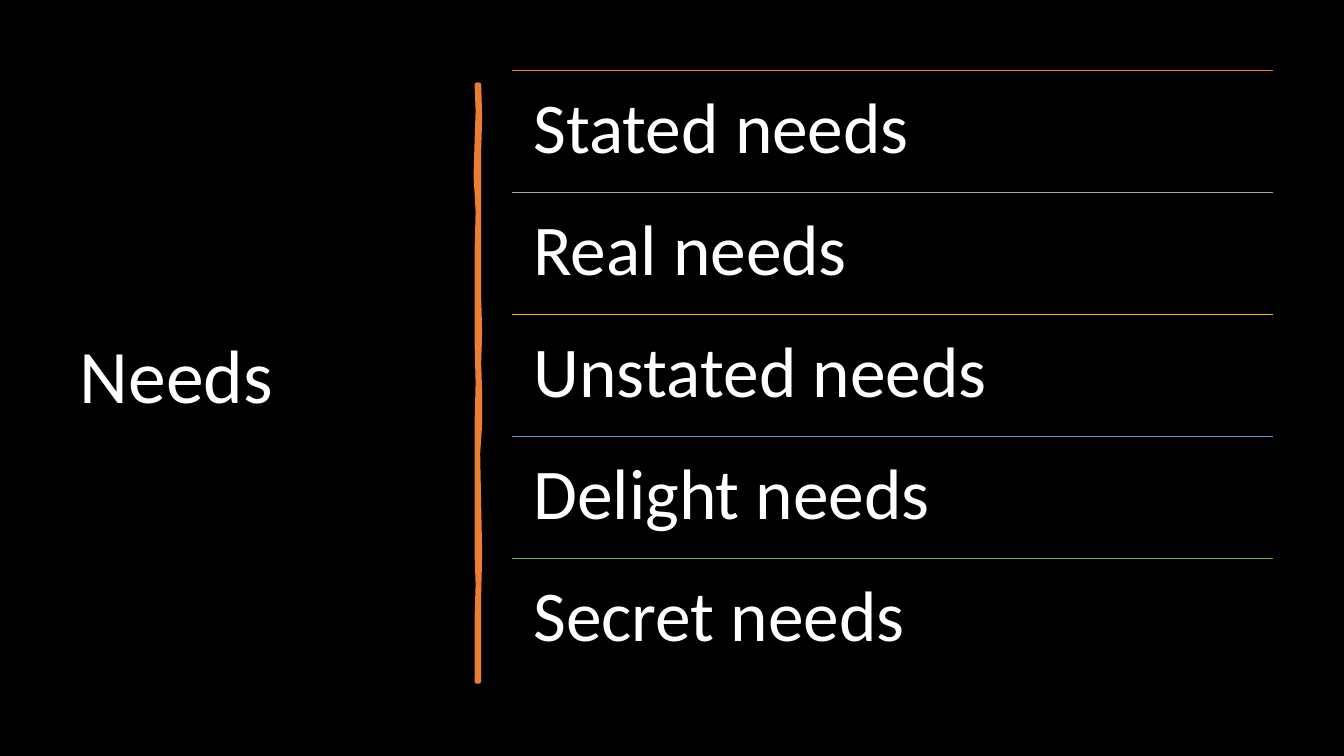
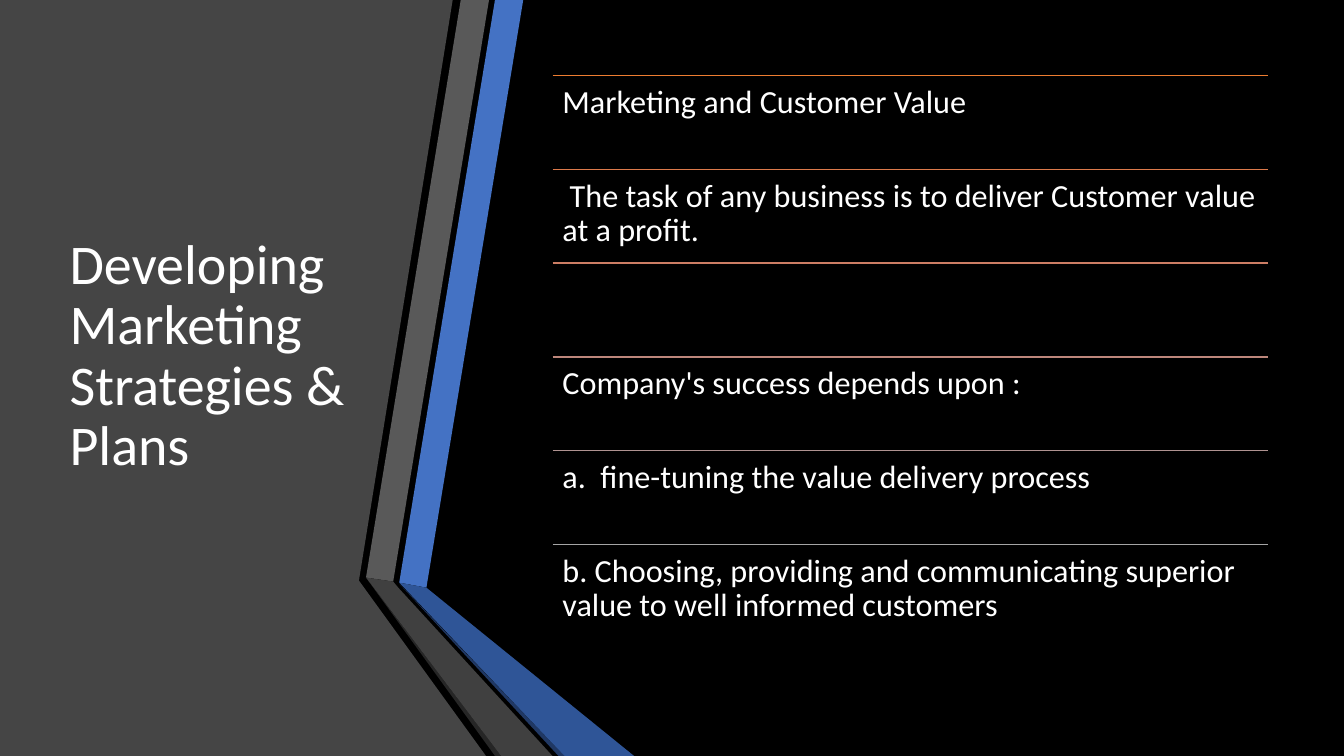
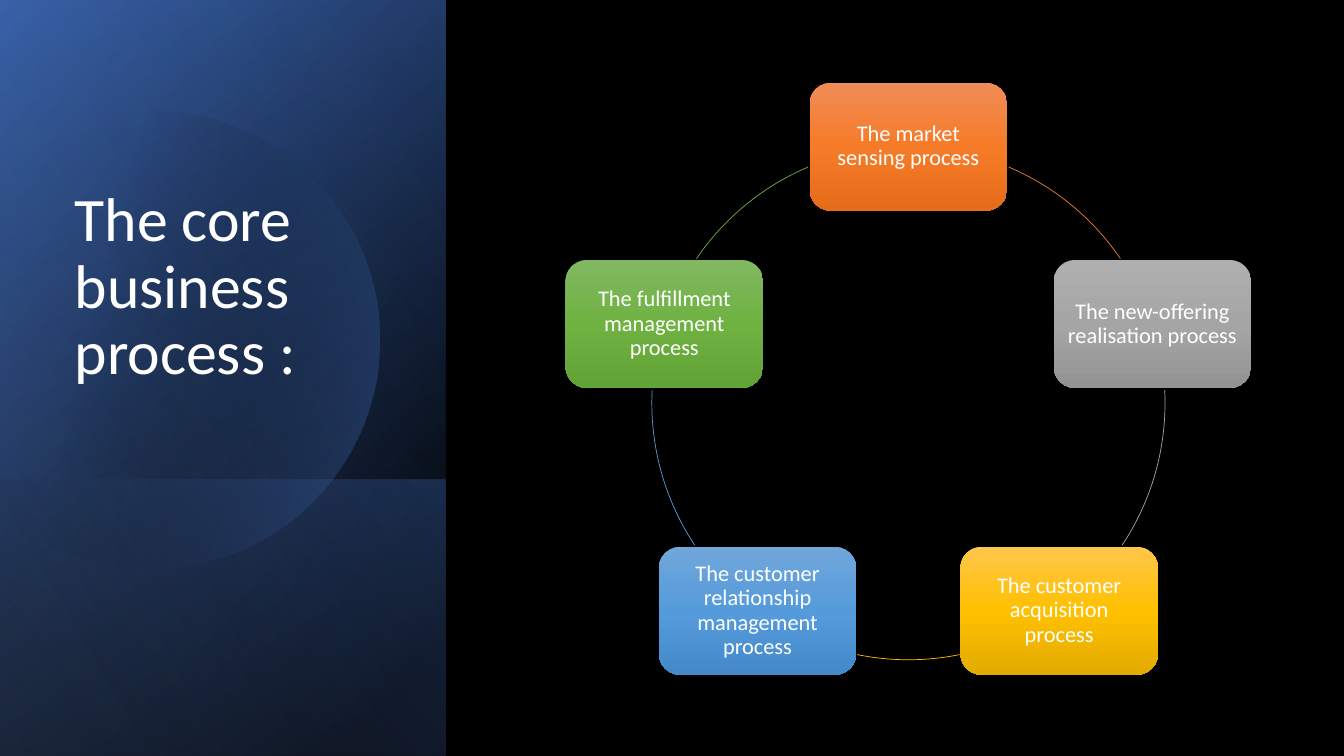
import dataclasses
import math

import pptx
import pptx.dml.color
import pptx.enum.shapes
import pptx.enum.text
import pptx.oxml
import pptx.oxml.ns
import pptx.util

Inches = pptx.util.Inches
Pt = pptx.util.Pt
RGBColor = pptx.dml.color.RGBColor
Anchor = pptx.enum.text.MSO_ANCHOR
Align = pptx.enum.text.PP_ALIGN
ShapeType = pptx.enum.shapes.MSO_SHAPE
Point = tuple[float, float]

FONT = "Calibri"
TITLE_ONLY_LAYOUT = 5
SLIDE_WIDTH, SLIDE_HEIGHT = 13.33, 7.5

BLACK = RGBColor(0x00, 0x00, 0x00)
WHITE = RGBColor(0xFF, 0xFF, 0xFF)
ORANGE = RGBColor(0xED, 0x7D, 0x31)
GRAY = RGBColor(0xA5, 0xA5, 0xA5)
GOLD = RGBColor(0xFF, 0xC0, 0x00)
SKY = RGBColor(0x5B, 0x9B, 0xD5)
GREEN = RGBColor(0x70, 0xAD, 0x47)
BLUE = RGBColor(0x44, 0x72, 0xC4)
BLUE_DARK = RGBColor(0x2F, 0x55, 0x97)
BLUE_DARKEST = RGBColor(0x20, 0x38, 0x64)
BLUE_LIGHT = RGBColor(0x8F, 0xAA, 0xDC)
CHARCOAL = RGBColor(0x45, 0x45, 0x45)
RIBBON_GRAY = RGBColor(0x59, 0x59, 0x59)
RIBBON_FOLD = RGBColor(0x40, 0x40, 0x40)
RIBBON_EDGE = RGBColor(0x26, 0x26, 0x26)


@dataclasses.dataclass(frozen=True)
class Box:
    left: float
    top: float
    width: float
    height: float

    def lengths(self) -> tuple:
        return tuple(Inches(value) for value in dataclasses.astuple(self))


@dataclasses.dataclass(frozen=True)
class Row:
    text: str
    color: RGBColor


@dataclasses.dataclass(frozen=True)
class Stop:
    position: int
    color: RGBColor
    opacity: int = 100


@dataclasses.dataclass(frozen=True)
class Panel:
    top: float
    height: float
    angle: int
    stops: tuple[Stop, ...]


@dataclasses.dataclass(frozen=True)
class Step:
    """A process box and the arc that leads from it, in degrees clockwise."""
    text: str
    line: RGBColor
    shades: tuple[str, str, str]
    arc_start: float
    arc_end: float


@dataclasses.dataclass(frozen=True)
class Facet:
    color: RGBColor
    points: tuple[Point, ...]


NEEDS = (
    Row("Stated needs", ORANGE),
    Row("Real needs", GRAY),
    Row("Unstated needs", GOLD),
    Row("Delight needs", SKY),
    Row("Secret needs", GREEN),
)

STRATEGIES = (
    Row("Marketing and Customer Value", ORANGE),
    Row(" The task of any business is to deliver Customer value at a profit.",
        RGBColor(0xDC, 0x7A, 0x4B)),
    Row("", RGBColor(0xCC, 0x7D, 0x64)),
    Row("Company's success depends upon :", RGBColor(0xBD, 0x86, 0x7B)),
    Row("a.  fine-tuning the value delivery process", RGBColor(0xB0, 0x93, 0x91)),
    Row("b. Choosing, providing and communicating superior value to well "
        "informed customers", GRAY),
)

BRUSH_STROKE = (
    (4.75, 0.84), (4.76, 1.15), (4.75, 1.5), (4.75, 2.2), (4.75, 2.94),
    (4.76, 3.3), (4.75, 3.6), (4.76, 3.9), (4.76, 4.2), (4.74, 4.5),
    (4.75, 5.0), (4.76, 5.5), (4.75, 5.9), (4.75, 6.76),
    (4.73, 6.76), (4.73, 6.13), (4.74, 5.8), (4.73, 5.5), (4.73, 4.7),
    (4.73, 4.2), (4.74, 3.8), (4.73, 3.4), (4.73, 2.5), (4.74, 2.1),
    (4.72, 1.75), (4.73, 1.4), (4.74, 1.1), (4.73, 0.84),
)

FACETS = (
    Facet(CHARCOAL, ((0, 0), (4.49, 0), (3.56, 5.76), (4.82, 7.5), (0, 7.5))),
    Facet(BLUE, ((3.96, 5.78), (4.23, 5.83), (5.19, 0), (4.91, 0))),
    Facet(RIBBON_GRAY, ((4.85, 0), (4.57, 0), (3.63, 5.73), (3.9, 5.77))),
    Facet(RIBBON_EDGE, ((3.63, 5.73), (4.91, 7.5), (4.97, 7.5))),
    Facet(BLUE_DARKEST, ((3.96, 5.79), (5.54, 7.5), (5.6, 7.5))),
    Facet(BLUE_DARK, ((3.96, 5.78), (5.6, 7.5), (6.29, 7.5), (4.23, 5.83))),
    Facet(RIBBON_FOLD, ((5.48, 7.5), (3.95, 5.83), (3.9, 5.77), (3.63, 5.73), (4.97, 7.5))),
)

PANEL_WIDTH = 4.42
BACK_PANELS = (
    Panel(0, 7.5, 50, (Stop(8, BLACK), Stop(100, BLUE_DARK))),
    Panel(0, 7.5, 30, (Stop(0, BLACK, 0), Stop(99, BLUE, 46))),
    Panel(4.76, 2.74, 130, (Stop(2, BLUE, 29), Stop(100, BLACK, 30))),
)
FRONT_PANEL = Panel(0, 7.5, 120, (Stop(0, BLACK, 0), Stop(99, BLUE_LIGHT, 11)))
DISC_CENTER, DISC_RADIUS = (1.49, 3.37), 2.27

STEPS = (
    Step("The market sensing process", ORANGE,
         ("F18C57", "F67B28", "E56C19"), 293, 325.7),
    Step("The new-offering realisation process", GRAY,
         ("AFAFAF", "A5A5A5", "939393"), 357.1, 33.6),
    Step("The customer acquisition process", GOLD,
         ("FFC64B", "FFC000", "E3AB00"), 78.5, 101.5),
    Step("The customer relationship management process", SKY,
         ("71A6DB", "559BDB", "448ACA"), 146.4, 182.9),
    Step("The fulfillment management process", GREEN,
         ("81B861", "6FB242", "62A336"), 214.3, 247),
)
RING_CENTER, RING_RADIUS = (9.01, 4.0), 2.545
STEP_WIDTH, STEP_HEIGHT = 1.96, 1.27


def write_text(shape, text: str, *, size: float, align=Align.LEFT,
               anchor=Anchor.TOP, margin: float | None = None) -> None:
    frame = shape.text_frame
    frame.word_wrap = True
    frame.auto_size = pptx.enum.text.MSO_AUTO_SIZE.NONE
    frame.vertical_anchor = anchor
    horizontal, vertical = (0.1, 0.05) if margin is None else (margin, margin)
    frame.margin_left = frame.margin_right = Inches(horizontal)
    frame.margin_top = frame.margin_bottom = Inches(vertical)
    paragraph = frame.paragraphs[0]
    paragraph.alignment = align
    paragraph.line_spacing = 0.9
    run = paragraph.add_run()
    run.text = text
    run.font.name = FONT
    run.font.size = Pt(size)
    run.font.color.rgb = WHITE


def add_title(slide, text: str, box: Box, size: float, anchor=Anchor.MIDDLE) -> None:
    """Place the title in front of everything drawn so far."""
    title = slide.shapes.title
    title.left, title.top, title.width, title.height = box.lengths()
    write_text(title, text, size=size, anchor=anchor)
    title.element.getparent().append(title.element)


def fill_solid(shape, color: RGBColor) -> None:
    shape.shadow.inherit = False
    shape.fill.solid()
    shape.fill.fore_color.rgb = color
    shape.line.fill.background()


def fill_gradient(shape, stops: tuple[Stop, ...], angle: float) -> None:
    fill_solid(shape, stops[0].color)
    stop_xml = "".join(
        f'<a:gs pos="{stop.position * 1000}"><a:srgbClr val="{stop.color}">'
        f'<a:alpha val="{stop.opacity * 1000}"/></a:srgbClr></a:gs>'
        for stop in stops)
    gradient = pptx.oxml.parse_xml(
        f'<a:gradFill {pptx.oxml.ns.nsdecls("a")} rotWithShape="1">'
        f'<a:gsLst>{stop_xml}</a:gsLst>'
        f'<a:lin ang="{round(angle * 60000)}" scaled="0"/></a:gradFill>')
    properties = shape.element.spPr
    properties.replace(properties.find(pptx.oxml.ns.qn("a:solidFill")), gradient)


def add_polygon(slide, points: tuple[Point, ...]):
    corners = [(Inches(x), Inches(y)) for x, y in points]
    builder = slide.shapes.build_freeform(*corners[0])
    builder.add_line_segments(corners[1:], close=True)
    return builder.convert_to_shape()


def add_rule(slide, left: float, top: float, width: float, color: RGBColor) -> None:
    rule = slide.shapes.add_connector(
        pptx.enum.shapes.MSO_CONNECTOR.STRAIGHT,
        Inches(left), Inches(top), Inches(left + width), Inches(top))
    rule.line.color.rgb = color
    rule.line.width = Pt(1)
    rule.element.spPr.append(
        pptx.oxml.parse_xml(f'<a:effectLst {pptx.oxml.ns.nsdecls("a")}/>'))


def add_ruled_list(slide, rows: tuple[Row, ...], first: Box, *,
                   size: float, margin: float) -> None:
    """Stack rows of equal height below the first, each under its own rule."""
    for index, row in enumerate(rows):
        box = dataclasses.replace(first, top=first.top + index * first.height)
        add_rule(slide, box.left, box.top, box.width, row.color)
        if row.text:
            text_box = slide.shapes.add_textbox(*box.lengths())
            write_text(text_box, row.text, size=size, margin=margin)


def add_panel(slide, panel: Panel) -> None:
    """Draw a side panel turned a quarter and mirrored, with its gradient."""
    shift = (PANEL_WIDTH - panel.height) / 2
    box = Box(shift, panel.top - shift, panel.height, PANEL_WIDTH)
    shape = slide.shapes.add_shape(ShapeType.RECTANGLE, *box.lengths())
    shape.rotation = 90
    shape.element.spPr.xfrm.set("flipH", "1")
    fill_gradient(shape, panel.stops, panel.angle)


def on_circle(center: Point, radius: float, degrees: float) -> Point:
    angle = math.radians(degrees)
    return center[0] + radius * math.cos(angle), center[1] + radius * math.sin(angle)


def add_disc(slide) -> None:
    """Draw the disc, cut off at the left edge of the slide."""
    cut = math.floor(math.degrees(math.acos(-DISC_CENTER[0] / DISC_RADIUS)))
    outline = tuple(on_circle(DISC_CENTER, DISC_RADIUS, degrees)
                    for degrees in range(-cut, cut + 1, 2))
    fill_gradient(add_polygon(slide, outline),
                  (Stop(29, BLACK, 0), Stop(100, BLUE, 43)), 14)


def add_step(slide, step: Step, degrees: float) -> None:
    x, y = on_circle(RING_CENTER, RING_RADIUS, degrees)
    box = Box(x - STEP_WIDTH / 2, y - STEP_HEIGHT / 2, STEP_WIDTH, STEP_HEIGHT)
    shape = slide.shapes.add_shape(ShapeType.ROUNDED_RECTANGLE, *box.lengths())
    stops = tuple(Stop(position, RGBColor.from_string(shade))
                  for position, shade in zip((0, 50, 100), step.shades))
    fill_gradient(shape, stops, 90)
    write_text(shape, step.text, size=16, align=Align.CENTER,
               anchor=Anchor.MIDDLE, margin=0.07)

    ring = Box(RING_CENTER[0] - RING_RADIUS, RING_CENTER[1] - RING_RADIUS,
               2 * RING_RADIUS, 2 * RING_RADIUS)
    arc = slide.shapes.add_shape(ShapeType.ARC, *ring.lengths())
    for index, angle in enumerate((step.arc_start, step.arc_end)):
        arc.adjustments[index] = angle * 0.6
    arc.shadow.inherit = False
    arc.fill.background()
    arc.line.color.rgb = step.line
    arc.line.width = Pt(0.5)


def build_needs(slide) -> None:
    stroke = add_polygon(slide, BRUSH_STROKE)
    fill_solid(stroke, ORANGE)
    stroke.line.color.rgb = ORANGE
    stroke.line.width = Pt(3.25)
    add_ruled_list(slide, NEEDS, Box(5.08, 0.7, 7.55, 1.21), size=51, margin=0.21)
    add_title(slide, "Needs", Box(0.69, 0.7, 3.74, 6.11), 54)


def build_strategies(slide) -> None:
    for facet in FACETS:
        fill_solid(add_polygon(slide, facet.points), facet.color)
    add_ruled_list(slide, STRATEGIES, Box(5.48, 0.75, 7.1, 0.93), size=23, margin=0.1)
    add_title(slide, "Developing Marketing Strategies & Plans",
              Box(0.59, 0.75, 3.04, 5.58), 40)


def build_core_process(slide) -> None:
    for panel in BACK_PANELS:
        add_panel(slide, panel)
    add_disc(slide)
    add_panel(slide, FRONT_PANEL)
    for index, step in enumerate(STEPS):
        add_step(slide, step, -90 + index * 360 / len(STEPS))
    add_title(slide, "The core business process :",
              Box(0.64, 1.87, 3.5, 2.03), 44.1, Anchor.BOTTOM)


def main() -> None:
    presentation = pptx.Presentation()
    presentation.slide_width = Inches(SLIDE_WIDTH)
    presentation.slide_height = Inches(SLIDE_HEIGHT)
    background = presentation.slide_master.background.fill
    background.solid()
    background.fore_color.rgb = BLACK
    layout = presentation.slide_layouts[TITLE_ONLY_LAYOUT]
    for build in (build_needs, build_strategies, build_core_process):
        build(presentation.slides.add_slide(layout))
    presentation.save("out.pptx")


if __name__ == "__main__":
    main()
